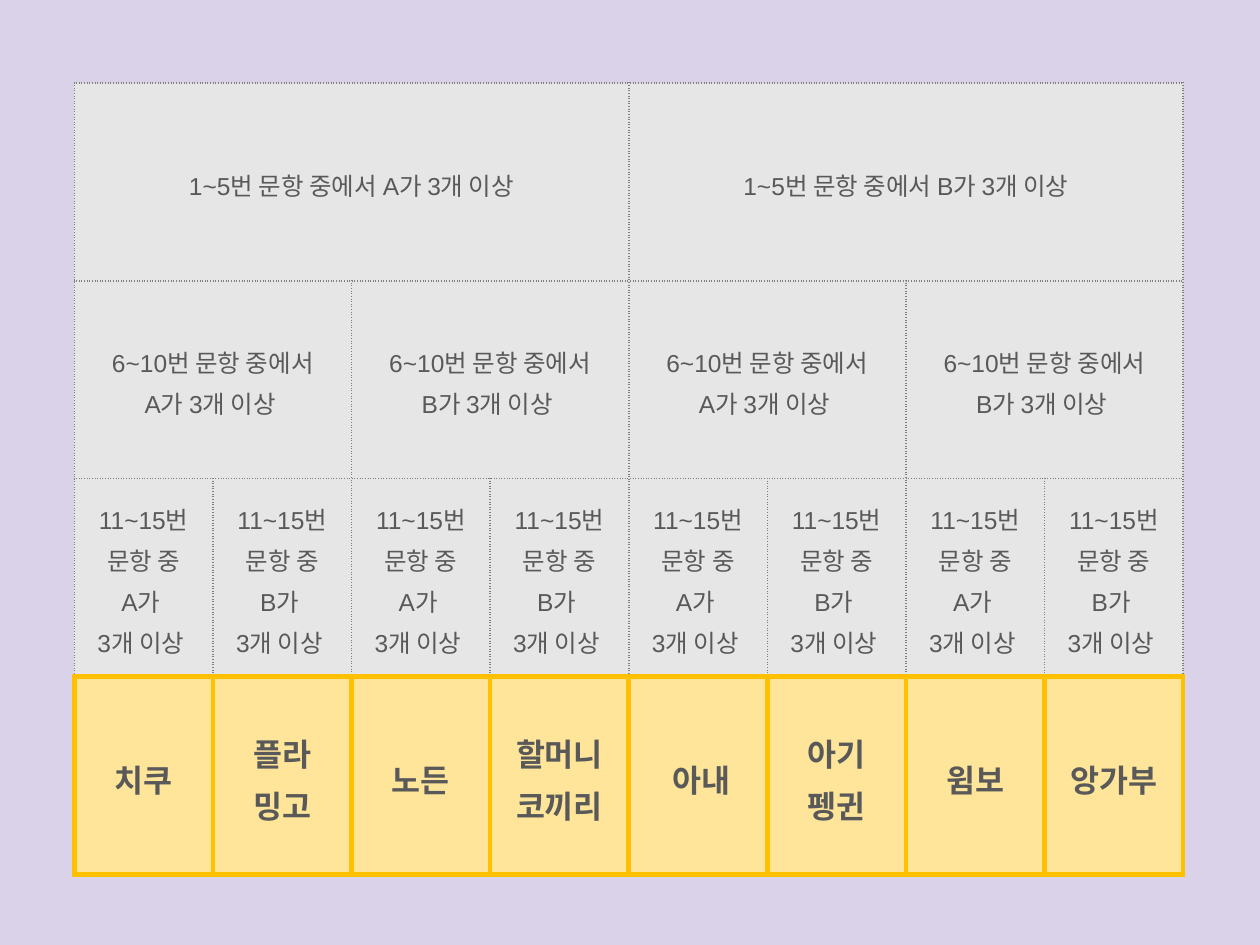
from dataclasses import dataclass

from lxml import etree
from pptx import Presentation
from pptx.dml.color import RGBColor
from pptx.enum.text import MSO_ANCHOR, PP_ALIGN
from pptx.oxml.ns import qn
from pptx.util import Inches, Pt

CENTER = PP_ALIGN.CENTER
MIDDLE = MSO_ANCHOR.MIDDLE


@dataclass(frozen=True)
class Theme:
    font: str = "Arial"
    background: str = "D9D2E9"
    text: str = "595959"
    question_fill: str = "E7E6E6"
    result_fill: str = "FEE599"
    question_border: tuple = ("7F7F7F", 1, "dot")
    result_border: tuple = ("FFC000", 3, "solid")
    question_size: int = 14
    result_size: int = 18


class SlideBuilder:
    def __init__(self, slide, theme):
        self.slide = slide
        self.theme = theme

    def background(self):
        fill = self.slide.background.fill
        fill.solid()
        fill.fore_color.rgb = RGBColor.from_string(self.theme.background)

    def table(self, rows, columns, left, top, column_width, row_height):
        grid = self.slide.shapes.add_table(
            rows, columns, Inches(left), Inches(top),
            Inches(columns * column_width), Inches(rows * row_height)).table
        grid.first_row = False
        grid.horz_banding = False
        for column in grid.columns:
            column.width = Inches(column_width)
        for row in grid.rows:
            row.height = Inches(row_height)
        return grid

    def border(self, cell, side, style):
        color, width, dash = style
        line = etree.SubElement(cell._tc.get_or_add_tcPr(), qn(f"a:ln{side}"), w=str(Pt(width)))
        fill = etree.SubElement(line, qn("a:solidFill"))
        etree.SubElement(fill, qn("a:srgbClr"), val=color)
        etree.SubElement(line, qn("a:prstDash"), val=dash)

    def cell(self, cell, fill, borders):
        for side, style in zip("LRTB", borders):
            self.border(cell, side, style)
        cell.fill.solid()
        cell.fill.fore_color.rgb = RGBColor.from_string(fill)

    def cell_text(self, cell, text, size, bold):
        cell.text = text
        cell.vertical_anchor = MIDDLE
        for paragraph in cell.text_frame.paragraphs:
            paragraph.alignment = CENTER
            paragraph.line_spacing = 1.15
            font = paragraph.font
            font.name = self.theme.font
            font.size = Pt(size)
            font.bold = bold
            font.color.rgb = RGBColor.from_string(self.theme.text)

    def row(self, grid, index, texts, is_result=False, above_result=False):
        theme = self.theme
        border = theme.result_border if is_result else theme.question_border
        bottom = theme.result_border if above_result else border
        fill = theme.result_fill if is_result else theme.question_fill
        size = theme.result_size if is_result else theme.question_size
        columns = len(grid.columns)
        span = columns // len(texts)
        for column in range(columns):
            self.cell(grid.cell(index, column), fill, (border, border, border, bottom))
        for position, text in enumerate(texts):
            first = grid.cell(index, position * span)
            if span > 1:
                first.merge(grid.cell(index, (position + 1) * span - 1))
            self.cell_text(first, text, size, is_result)


def main():
    presentation = Presentation()
    presentation.slide_width = Inches(10)
    presentation.slide_height = Inches(7.5)
    slide = presentation.slides.add_slide(presentation.slide_layouts[6])
    builder = SlideBuilder(slide, Theme())
    builder.background()

    questions = [
        "1~5번 문항 중에서 {}가 3개 이상",
        "6~10번 문항 중에서\n{}가 3개 이상 ",
        "11~15번 문항 중\n{}가 \n3개 이상 ",
    ]
    characters = ["치쿠", "플라\n밍고", "노든", "할머니\n코끼리",
                  " 아내", "아기\n펭귄", "윔보", "앙가부"]
    grid = builder.table(len(questions) + 1, len(characters), 0.59, 0.66, 1.1, 1.57)
    for level, question in enumerate(questions):
        answers = [question.format(choice) for choice in "AB"] * 2 ** level
        builder.row(grid, level, answers, above_result=level == len(questions) - 1)
    builder.row(grid, len(questions), characters, is_result=True)

    presentation.save("out.pptx")


if __name__ == "__main__":
    main()
